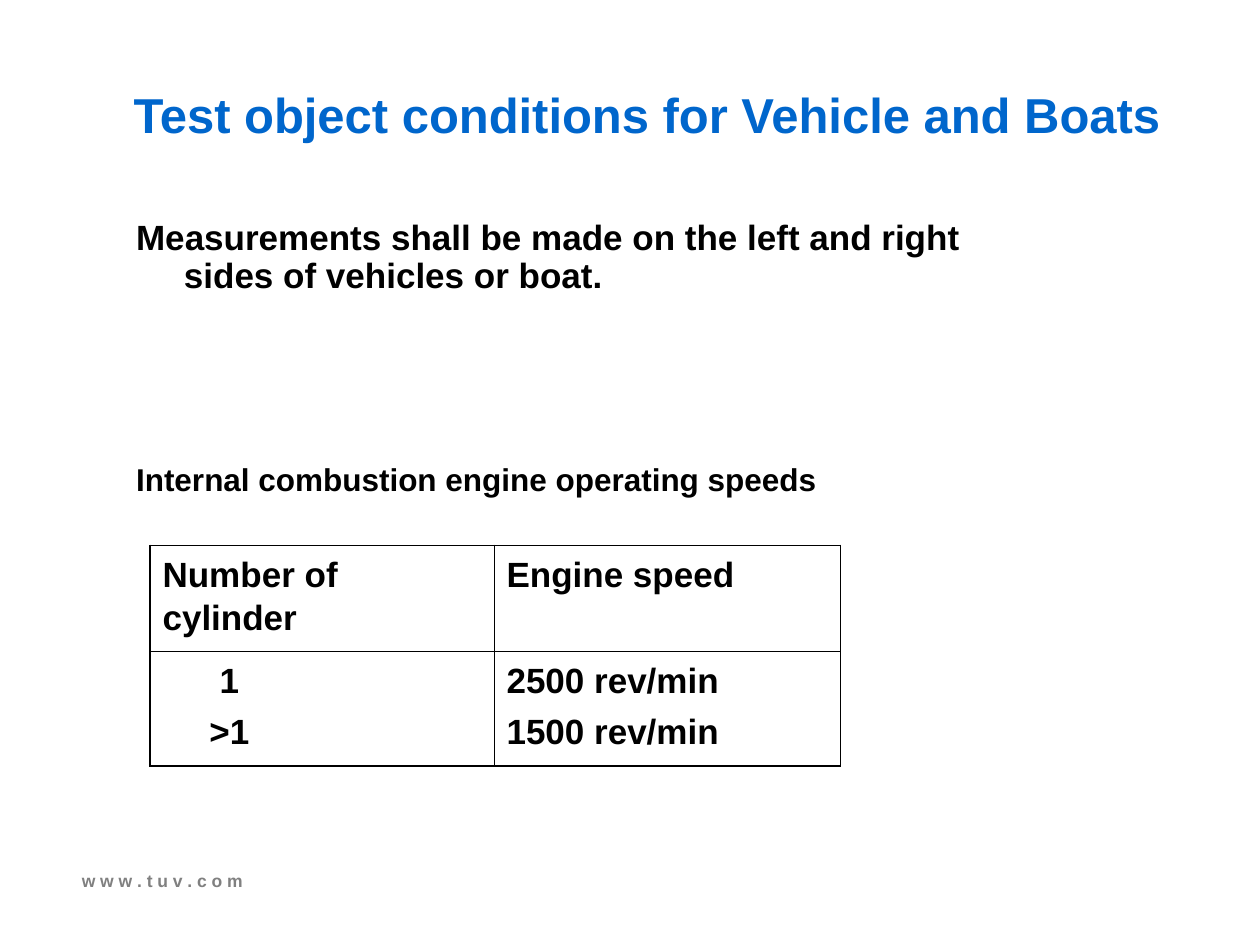
from dataclasses import dataclass

from pptx import Presentation
from pptx.dml.color import RGBColor
from pptx.enum.text import MSO_ANCHOR, MSO_AUTO_SIZE, PP_ALIGN
from pptx.oxml import parse_xml
from pptx.oxml.ns import nsdecls
from pptx.util import Inches, Pt

TOP, BOTTOM = MSO_ANCHOR.TOP, MSO_ANCHOR.BOTTOM
LEFT, CENTER = PP_ALIGN.LEFT, PP_ALIGN.CENTER
NO_AUTOFIT = MSO_AUTO_SIZE.NONE


@dataclass(frozen=True)
class Theme:
    font: str = "Arial"
    heading: str = "0066CC"
    ink: str = "000000"
    muted: str = "808080"
    title_size: float = 28
    body_size: float = 20
    caption_size: float = 18
    footer_size: float = 10
    outer_line: float = 1.08
    inner_line: float = 0.45


class SlideBuilder:
    def __init__(self, slide, theme):
        self.slide = slide
        self.theme = theme

    def style(self, paragraph, size, color, align=LEFT):
        paragraph.alignment = align
        font = paragraph.font
        font.name = self.theme.font
        font.size = Pt(size)
        font.bold = True
        font.color.rgb = RGBColor.from_string(color)

    def frame(self, shape, anchor=TOP, inset_left=0, inset_top=0):
        frame = shape.text_frame
        frame.word_wrap = True
        frame.auto_size = NO_AUTOFIT
        frame.vertical_anchor = anchor
        frame.margin_left, frame.margin_top = Inches(inset_left), Inches(inset_top)
        frame.margin_right = frame.margin_bottom = 0
        return frame

    def title(self, text, left, top, width, height, inset):
        title = self.slide.shapes.title
        title.left, title.top = Inches(left), Inches(top)
        title.width, title.height = Inches(width), Inches(height)
        frame = self.frame(title, inset_left=inset)
        frame.text = text
        self.style(frame.paragraphs[0], self.theme.title_size, self.theme.heading)

    def text_box(self, left, top, width, height, **layout):
        box = self.slide.shapes.add_textbox(
            Inches(left), Inches(top), Inches(width), Inches(height))
        return self.frame(box, **layout)

    def footer(self, text, left, top, width, height, inset):
        frame = self.text_box(left, top, width, height, anchor=BOTTOM, inset_top=inset)
        frame.text = text
        self.style(frame.paragraphs[0], self.theme.footer_size, self.theme.muted)

    def body(self, statements, left, top, width, height, hanging):
        frame = self.text_box(left, top, width, height)
        frame.text = "\n".join(text for text, _, _ in statements)
        for paragraph, (_, size, gap) in zip(frame.paragraphs, statements):
            properties = paragraph._p.get_or_add_pPr()
            properties.set("marL", str(Inches(hanging)))
            properties.set("indent", str(-Inches(hanging)))
            paragraph.line_spacing = 0.9
            paragraph.space_before = Pt(gap)
            self.style(paragraph, size, self.theme.ink)

    def borders(self, cell, outer_sides):
        properties = cell._tc.get_or_add_tcPr()
        for position, side in enumerate("LRTB"):
            weight = self.theme.outer_line if side in outer_sides else self.theme.inner_line
            properties.insert(position, parse_xml(
                f'<a:ln{side} {nsdecls("a")} w="{int(Pt(weight))}"><a:solidFill>'
                f'<a:srgbClr val="{self.theme.ink}"/></a:solidFill></a:ln{side}>'))

    def table(self, rows, left, top, widths, heights):
        table = self.slide.shapes.add_table(
            len(rows), len(widths), Inches(left), Inches(top),
            Inches(sum(widths)), Inches(sum(heights))).table
        table.first_row = table.horz_banding = False
        for column, width in zip(table.columns, widths):
            column.width = Inches(width)
        for r, (row, height) in enumerate(zip(rows, heights)):
            table.rows[r].height = Inches(height)
            for c, text in enumerate(row):
                cell = table.cell(r, c)
                cell.text = text
                cell.fill.background()
                outer_sides = {"T" if r == 0 else "", "B" if r == len(rows) - 1 else "",
                               "L" if c == 0 else "", "R" if c == len(widths) - 1 else ""}
                self.borders(cell, outer_sides)
                for paragraph in cell.text_frame.paragraphs:
                    paragraph.line_spacing = 1.1
                    paragraph.space_after = Pt(5)
                    self.style(paragraph, self.theme.body_size, self.theme.ink)
        return table

    def center_cell(self, cell, right_margin):
        cell.margin_right = Inches(right_margin)
        for paragraph in cell.text_frame.paragraphs:
            paragraph.alignment = CENTER


def main():
    presentation = Presentation()
    presentation.slide_width, presentation.slide_height = Inches(10), Inches(7.5)
    theme = Theme()
    builder = SlideBuilder(
        presentation.slides.add_slide(presentation.slide_layouts[5]), theme)

    builder.footer("w w w . t u v . c o m", 0.65, 6.79, 1.97, 0.28, inset=0.12)
    builder.title("Test object conditions for Vehicle and Boats",
                  0.67, 0.67, 8.75, 1, inset=0.39)
    builder.body([
        ("Measurements shall be made on the left and right sides of vehicles or boat.",
         theme.body_size, 0),
        ("Internal combustion engine operating speeds", theme.caption_size, 96),
    ], 1.08, 1.75, 6.58, 2.33, hanging=0.38)
    engine_speeds = builder.table([
        ("Number of cylinder", "Engine speed"),
        ("1\n>1", "2500 rev/min\n1500 rev/min"),
    ], 1.19, 4.33, widths=(2.73, 2.75), heights=(0.84, 0.91))
    builder.center_cell(engine_speeds.cell(1, 0), right_margin=1.57)

    presentation.save("out.pptx")


if __name__ == "__main__":
    main()
